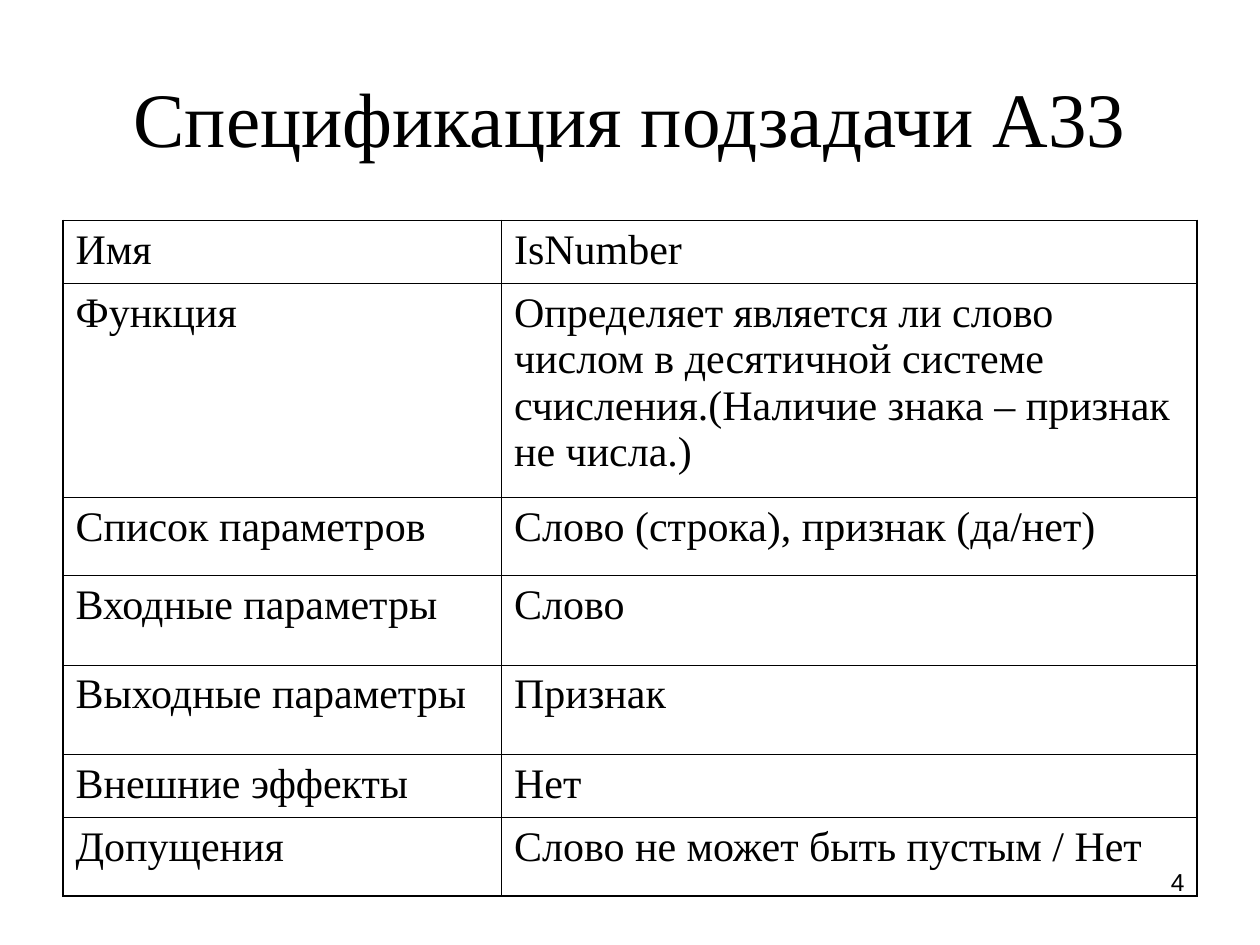
from lxml import etree
from pptx import Presentation
from pptx.dml.color import RGBColor
from pptx.enum.text import MSO_ANCHOR, PP_ALIGN
from pptx.oxml.ns import qn
from pptx.util import Inches, Pt

CENTER, RIGHT, LEFT = PP_ALIGN.CENTER, PP_ALIGN.RIGHT, PP_ALIGN.LEFT
MIDDLE = MSO_ANCHOR.MIDDLE
SERIF, SANS, BLACK = "Times New Roman", "Arial", "000000"
OUTER, INNER = 1.08, 0.45

TITLE = "Спецификация подзадачи A33"
PAGE = "4"
COLS = [3.48, 5.52]
ROWS = [
    (0.5, "Имя", "IsNumber"),
    (1.7, "Функция", "Определяет является ли слово числом в десятичной системе "
                     "счисления.(Наличие знака – признак не числа.)"),
    (0.62, "Список параметров", "Слово (строка), признак (да/нет)"),
    (0.71, "Входные параметры", "Слово"),
    (0.71, "Выходные параметры", "Признак"),
    (0.5, "Внешние эффекты", "Нет"),
    (0.62, "Допущения", "Слово не может быть пустым / Нет"),
]


def write(tf, text, size, font, align):
    """Fill a text frame with one formatted paragraph."""
    tf.text = text
    tf.word_wrap = True
    p = tf.paragraphs[0]
    p.alignment = align
    f = p.runs[0].font
    f.size, f.name = Pt(size), font
    f.color.rgb = RGBColor.from_string(BLACK)
    return p


def add_borders(cell, widths):
    """Draw the left, right, top and bottom edges of a cell."""
    tcPr = cell._tc.get_or_add_tcPr()
    for i, (side, width) in enumerate(zip("LRTB", widths)):
        ln = etree.Element(qn(f"a:ln{side}"), w=str(int(Pt(width))))
        fill = etree.SubElement(ln, qn("a:solidFill"))
        etree.SubElement(fill, qn("a:srgbClr"), val=BLACK)
        tcPr.insert(i, ln)


def add_spec_table(s):
    """Add the specification table with a heavier outer frame."""
    heights = [row[0] for row in ROWS]
    frame = s.shapes.add_table(len(ROWS), len(COLS), Inches(0.5), Inches(1.75),
                               Inches(sum(COLS)), Inches(sum(heights)))
    table = frame.table
    table.first_row = table.horz_banding = False
    for col, width in zip(table.columns, COLS):
        col.width = Inches(width)
    last_row, last_col = len(ROWS) - 1, len(COLS) - 1
    for i, (height, *texts) in enumerate(ROWS):
        table.rows[i].height = Inches(height)
        for j, text in enumerate(texts):
            cell = table.cell(i, j)
            cell.fill.background()
            write(cell.text_frame, text, 24, SERIF, LEFT).space_before = Pt(6)
            edges = (j == 0, j == last_col, i == 0, i == last_row)
            add_borders(cell, [OUTER if edge else INNER for edge in edges])


def main():
    """Build the slide and save it."""
    prs = Presentation()
    prs.slide_width, prs.slide_height = Inches(10), Inches(7.5)
    s = prs.slides.add_slide(prs.slide_layouts[5])
    title = s.shapes.title
    title.left, title.top = Inches(0.5), Inches(0.3)
    title.width, title.height = Inches(9), Inches(1.25)
    write(title.text_frame, TITLE, 44, SERIF, CENTER)
    title.text_frame.vertical_anchor = MIDDLE
    add_spec_table(s)
    page = s.shapes.add_textbox(Inches(7.17), Inches(6.83), Inches(2.33), Inches(0.52))
    write(page.text_frame, PAGE, 14, SANS, RIGHT)
    prs.save("out.pptx")


if __name__ == "__main__":
    main()
